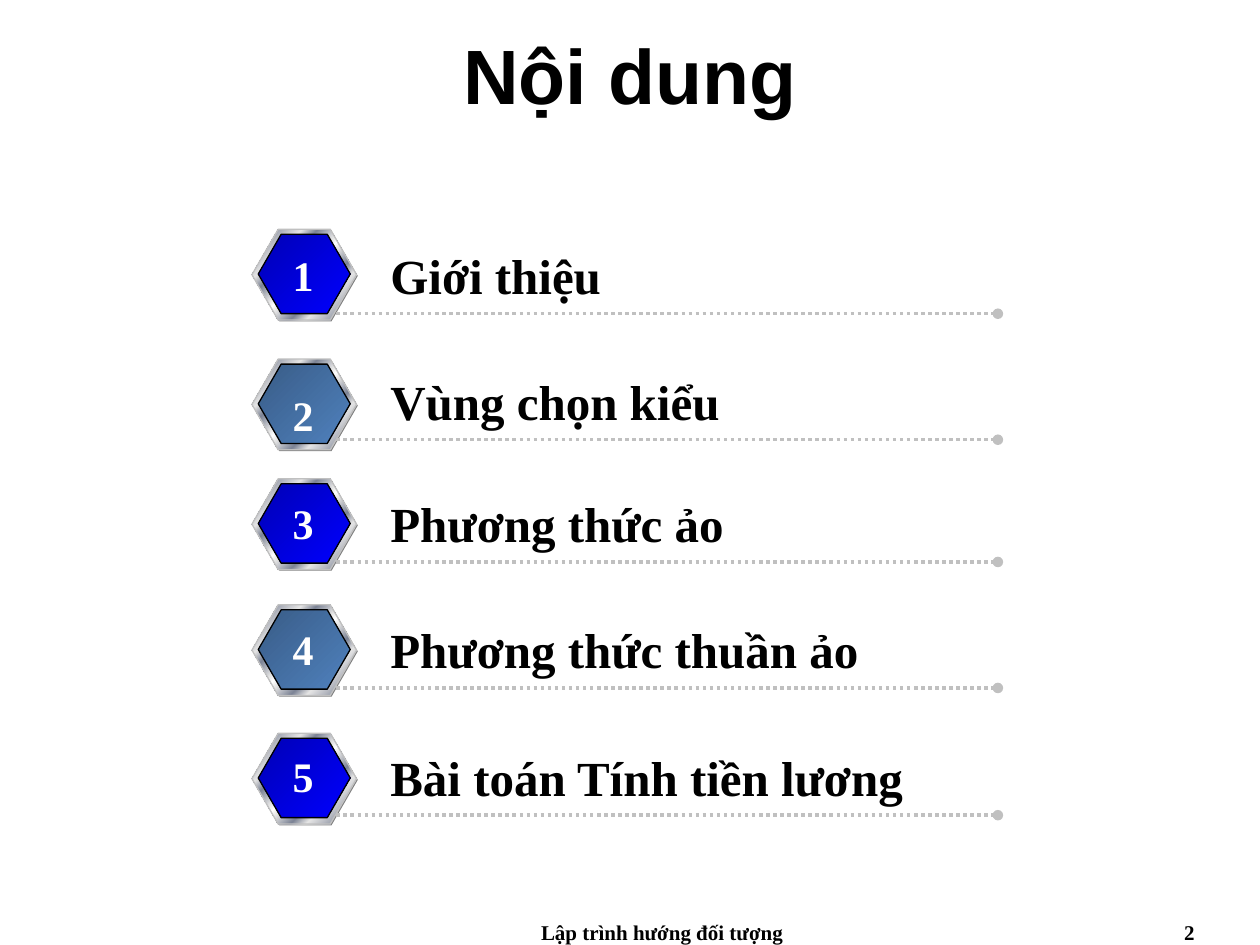
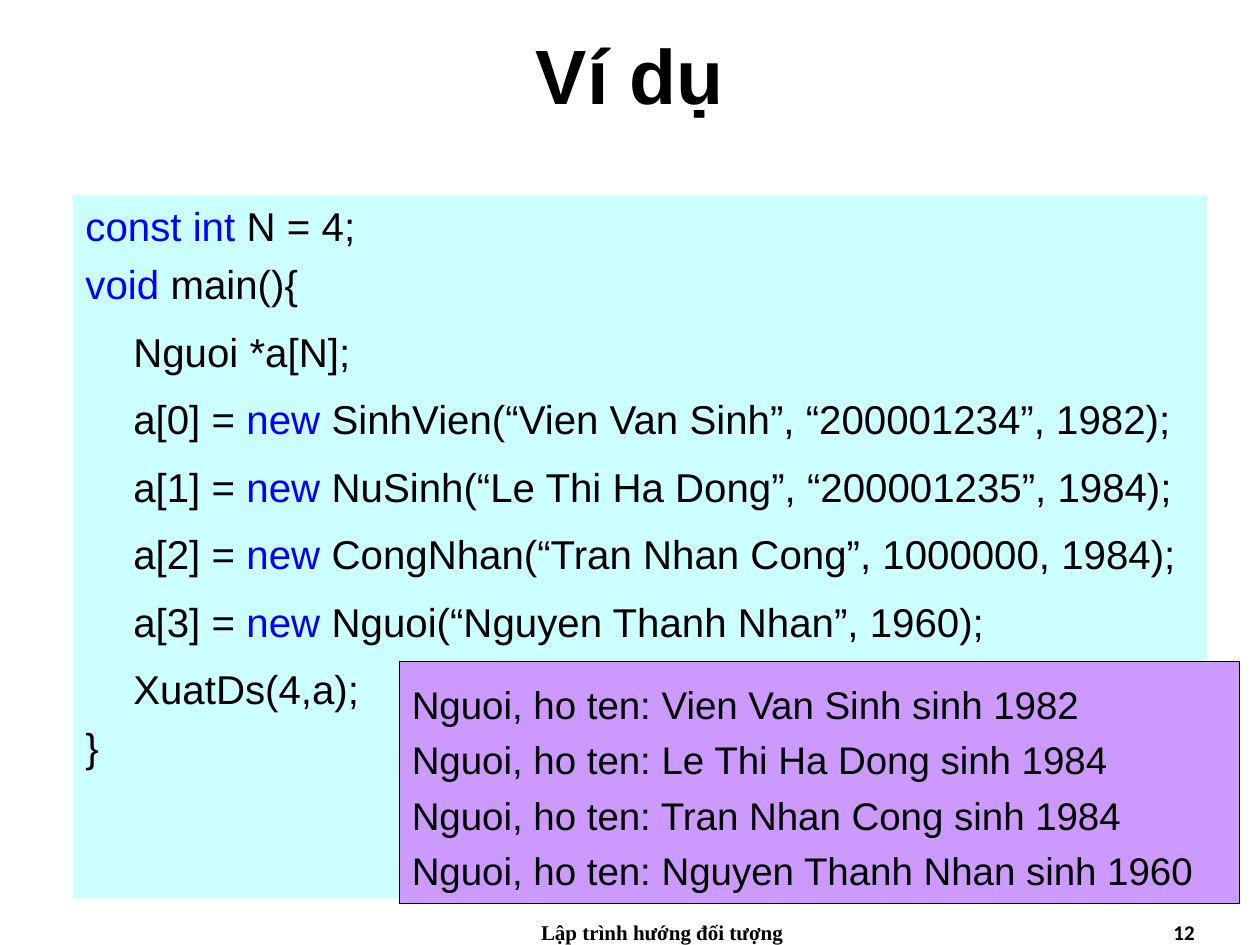
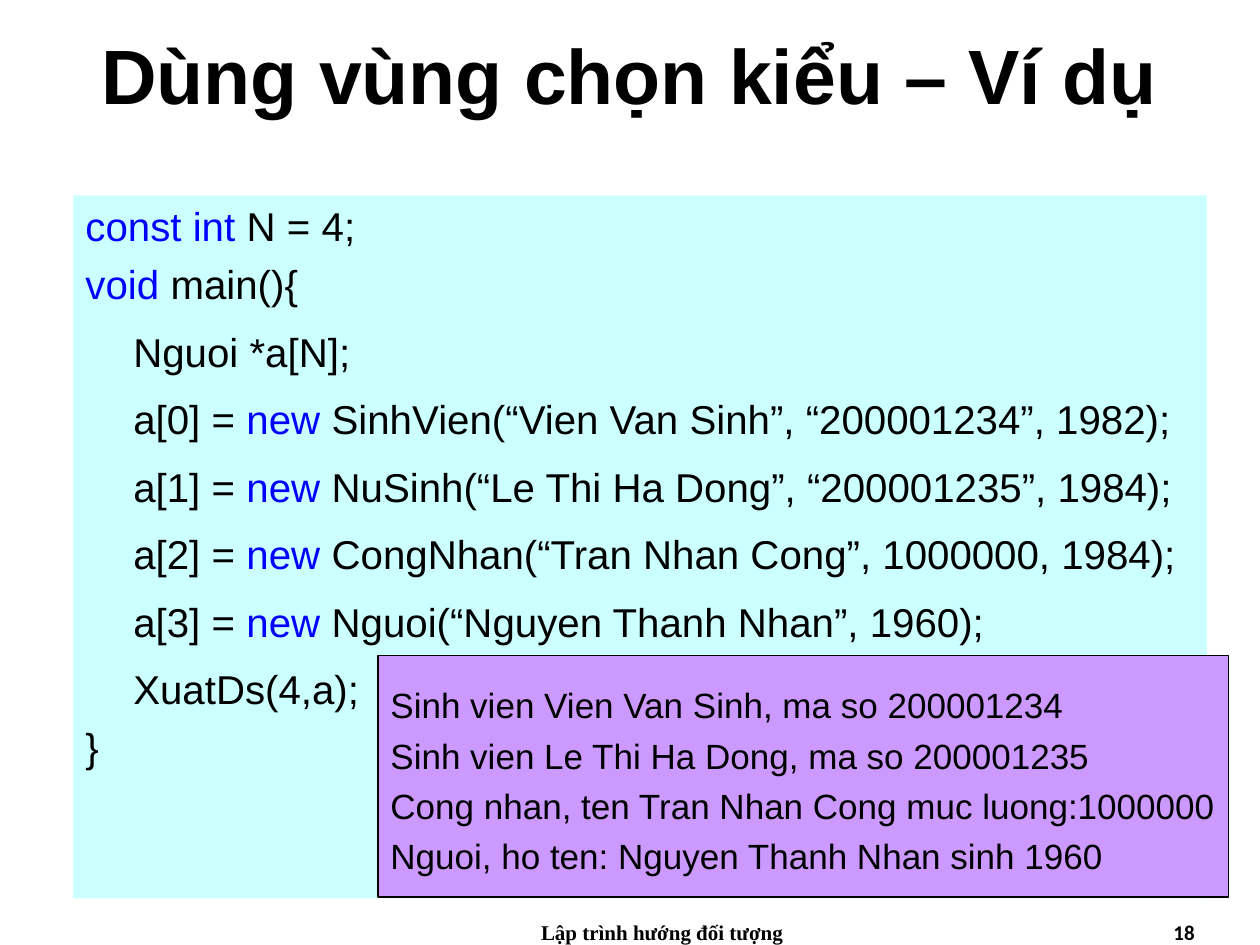
from lxml import etree
from pptx import Presentation
from pptx.dml.color import RGBColor
from pptx.enum.dml import MSO_LINE
from pptx.enum.shapes import MSO_CONNECTOR, MSO_SHAPE
from pptx.enum.text import MSO_ANCHOR, PP_ALIGN
from pptx.oxml.ns import qn
from pptx.util import Inches, Pt

HEX, RECT = MSO_SHAPE.HEXAGON, MSO_SHAPE.RECTANGLE
STRAIGHT = MSO_CONNECTOR.STRAIGHT
DOTS = MSO_LINE.ROUND_DOT
TOP, MIDDLE = MSO_ANCHOR.TOP, MSO_ANCHOR.MIDDLE
LEFT, CENTER, RIGHT = PP_ALIGN.LEFT, PP_ALIGN.CENTER, PP_ALIGN.RIGHT
TITLE_ONLY = 5

# Shared colours and fonts
BLACK, WHITE, BLUE = "000000", "FFFFFF", "0000FF"
GRAY, SILVER, CYAN, PURPLE = "808080", "C0C0C0", "CCFFFF", "CC99FF"
SERIF, SANS, PLAIN = "Times New Roman", "Arial", "Calibri"
FOOTER = "Lập trình hướng đối tượng"

LIGHT, STEEL = "E6E6E6", "7D8496"
CHROME = [(0, LIGHT), (7, STEEL), (26, LIGHT), (34, STEEL), (46, LIGHT),
          (50, WHITE), (54, LIGHT), (66, STEEL), (74, LIGHT), (93, STEEL),
          (100, LIGHT)]
FACES = [[(0, "0000B6"), (100, BLUE)], [(0, "395C87"), (100, "4F81BD")]]

# Agenda rows: label, hexagon top, rule height, number top
TOPICS = [
    ("Giới thiệu", 1.82, 2.49, 1.93),
    ("Vùng chọn kiểu", 2.85, 3.49, 3.04),
    ("Phương thức ảo", 3.8, 4.46, 3.9),
    ("Phương thức thuần ảo", 4.8, 5.46, 4.9),
    ("Bài toán Tính tiền lương", 5.82, 6.47, 5.91),
]

# Keywords stand between bars
CODE = [
    "|const int| N = 4;",
    "|void| main(){",
    "\tNguoi *a[N];",
    "\ta[0] = |new| SinhVien(“Vien Van Sinh”, “200001234”, 1982);",
    "\ta[1] = |new| NuSinh(“Le Thi Ha Dong”, “200001235”, 1984);",
    "\ta[2] = |new| CongNhan(“Tran Nhan Cong”, 1000000, 1984);",
    "\ta[3] = |new| Nguoi(“Nguyen Thanh Nhan”, 1960);",
    "\tXuatDs(4,a);",
    "}",
]

# Example slides: title, number, output box, text size, output lines
DEMOS = [
    ("Ví dụ", 12, (3.17, 5.25, 6.67, 1.92), 22, [
        "Nguoi, ho ten: Vien Van Sinh sinh 1982",
        "Nguoi, ho ten: Le Thi Ha Dong sinh 1984",
        "Nguoi, ho ten: Tran Nhan Cong sinh 1984",
        "Nguoi, ho ten: Nguyen Thanh Nhan sinh 1960"]),
    ("Dùng vùng chọn kiểu – Ví dụ", 18, (3, 5.2, 6.75, 1.92), 20, [
        "Sinh vien Vien Van Sinh, ma so 200001234",
        "Sinh vien Le Thi Ha Dong, ma so 200001235",
        "Cong nhan, ten Tran Nhan Cong muc luong:1000000",
        "Nguoi, ho ten: Nguyen Thanh Nhan sinh 1960"]),
]


def rgb(code):
    return RGBColor.from_string(code)


def inches(box):
    return [Inches(v) for v in box]


def style(font, color=BLACK, **values):
    for name, value in values.items():
        setattr(font, name, value)
    font.color.rgb = rgb(color)


def write(frame, text, align=LEFT, **values):
    para = frame.paragraphs[0]
    para.alignment = align
    run = para.add_run()
    run.text = text
    style(run.font, **values)


def label(shapes, box, text, wrap=True, **values):
    frame = shapes.add_textbox(*inches(box)).text_frame
    frame.word_wrap = wrap
    write(frame, text, **values)


def block(shapes, kind, box, fill, line=None):
    shape = shapes.add_shape(kind, *inches(box))
    shape.shadow.inherit = False
    if isinstance(fill, str):
        shape.fill.solid()
        shape.fill.fore_color.rgb = rgb(fill)
    else:
        blend(shape, fill)
    if line:
        shape.line.color.rgb = rgb(line)
        shape.line.width = Pt(0.75)
    else:
        shape.line.fill.background()
    return shape


def blend(shape, stops):
    shape.fill.gradient()
    shape.fill.gradient_angle = 315
    items = next(shape._element.iter(qn("a:gsLst")))
    for old in list(items):
        items.remove(old)
    for place, color in stops:
        stop = etree.SubElement(items, qn("a:gs"), pos=str(place * 1000))
        etree.SubElement(stop, qn("a:srgbClr"), val=color)


def rule(shapes, x, y, width):
    line = shapes.add_connector(STRAIGHT, *inches((x, y, x + width, y)))
    line.line.color.rgb = rgb(SILVER)
    line.line.width = Pt(2)
    line.line.dash_style = DOTS
    etree.SubElement(line.line._get_or_add_ln(), qn("a:tailEnd"), type="oval")
    etree.SubElement(line._element.spPr, qn("a:effectLst"))


# Title and footer on every slide
def page(deck, title, number, face):
    slide = deck.slides.add_slide(deck.slide_layouts[TITLE_ONLY])
    head = slide.shapes.title
    head.left, head.top, head.width, head.height = inches((0, 0, 10, 1.17))
    head.text_frame.vertical_anchor = MIDDLE
    write(head.text_frame, title, CENTER, name=SANS, size=Pt(44), bold=True)
    small = {"size": Pt(12), "bold": True}
    label(slide.shapes, (3.67, 7.25, 3.17, 0.25), FOOTER, align=CENTER,
          name=SERIF, **small)
    label(slide.shapes, (7.25, 7.25, 2.33, 0.25), str(number), align=RIGHT,
          name=face, **small)
    return slide


# One agenda row: badge, dotted rule, label and number
def topic(slide, x, index, text, top, base, mark):
    shapes = slide.shapes.add_group_shape().shapes
    for dx, dy, w, h, fill, line in (
            (0.01, 0.01, 0.83, 0.72, GRAY, None),
            (0, 0, 0.83, 0.72, CHROME, SILVER),
            (0.05, 0.04, 0.73, 0.63, FACES[index % 2], BLACK)):
        badge = block(shapes, HEX, (x + dx, top + dy, w, h), fill, line)
        badge.adjustments[0] = 0.289
    rule(shapes, x + 0.67, base, 5.25)
    bold = {"name": SERIF, "bold": True}
    label(shapes, (x + 1, base - 0.59, 4.92, 0.57), text, size=Pt(28), **bold)
    label(shapes, (x + 0.22, mark, 0.37, 0.5), str(index + 1), wrap=False,
          align=CENTER, size=Pt(24), color=WHITE, **bold)


# Code panel with blue keywords
def code(slide, box):
    frame = block(slide.shapes, RECT, box, CYAN).text_frame
    frame.vertical_anchor = TOP
    for i, line in enumerate(CODE):
        para = frame.paragraphs[0] if i == 0 else frame.add_paragraph()
        para.alignment = LEFT
        props = para._p.get_or_add_pPr()
        props.set("marL", str(Inches(0.38)))
        props.set("indent", str(-Inches(0.38)))
        if line.startswith("\t"):
            para.line_spacing = 1.2
        if i:
            para.space_before = Pt(5.5)
        for j, part in enumerate(line.split("|")):
            if part:
                run = para.add_run()
                run.text = part
                style(run.font, BLUE if j % 2 else BLACK,
                      name=SANS, size=Pt(23))


# Program output panel
def output(slide, box, size, lines):
    frame = block(slide.shapes, RECT, box, PURPLE, BLACK).text_frame
    frame.vertical_anchor = MIDDLE
    frame.word_wrap = False
    for i, line in enumerate(lines):
        para = frame.paragraphs[0] if i == 0 else frame.add_paragraph()
        para.alignment = LEFT
        para.line_spacing = 1.2
        run = para.add_run()
        run.text = line
        style(run.font, name=SANS, size=Pt(size))


def main():
    deck = Presentation()
    deck.slide_width, deck.slide_height = inches((10, 7.5))
    slide = page(deck, "Nội dung", 2, SERIF)
    for index, row in enumerate(TOPICS):
        topic(slide, 2, index, *row)
    for title, number, box, size, lines in DEMOS:
        slide = page(deck, title, number, PLAIN)
        code(slide, (0.58, 1.55, 9, 5.58))
        output(slide, box, size, lines)
    deck.save("out.pptx")


if __name__ == "__main__":
    main()
